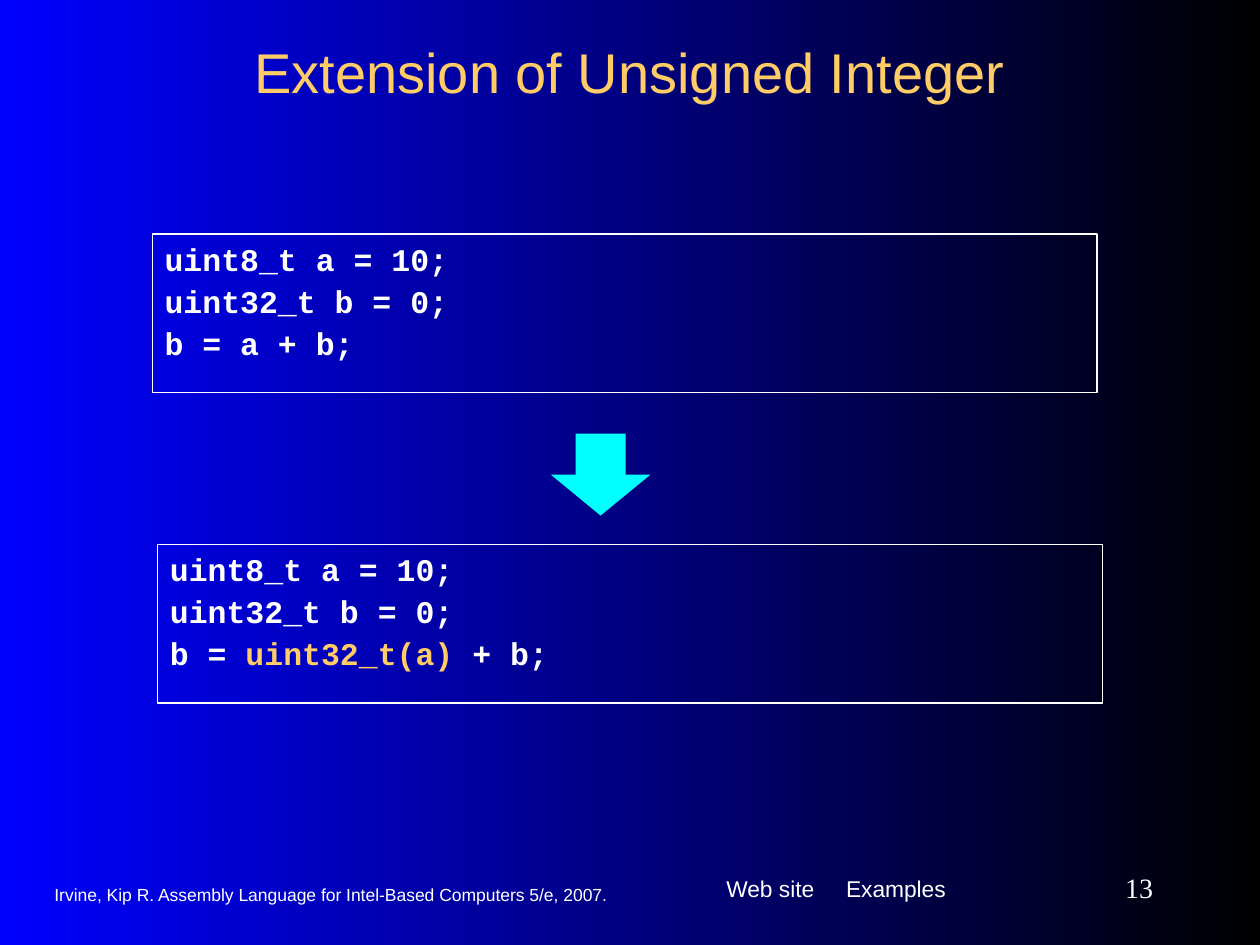
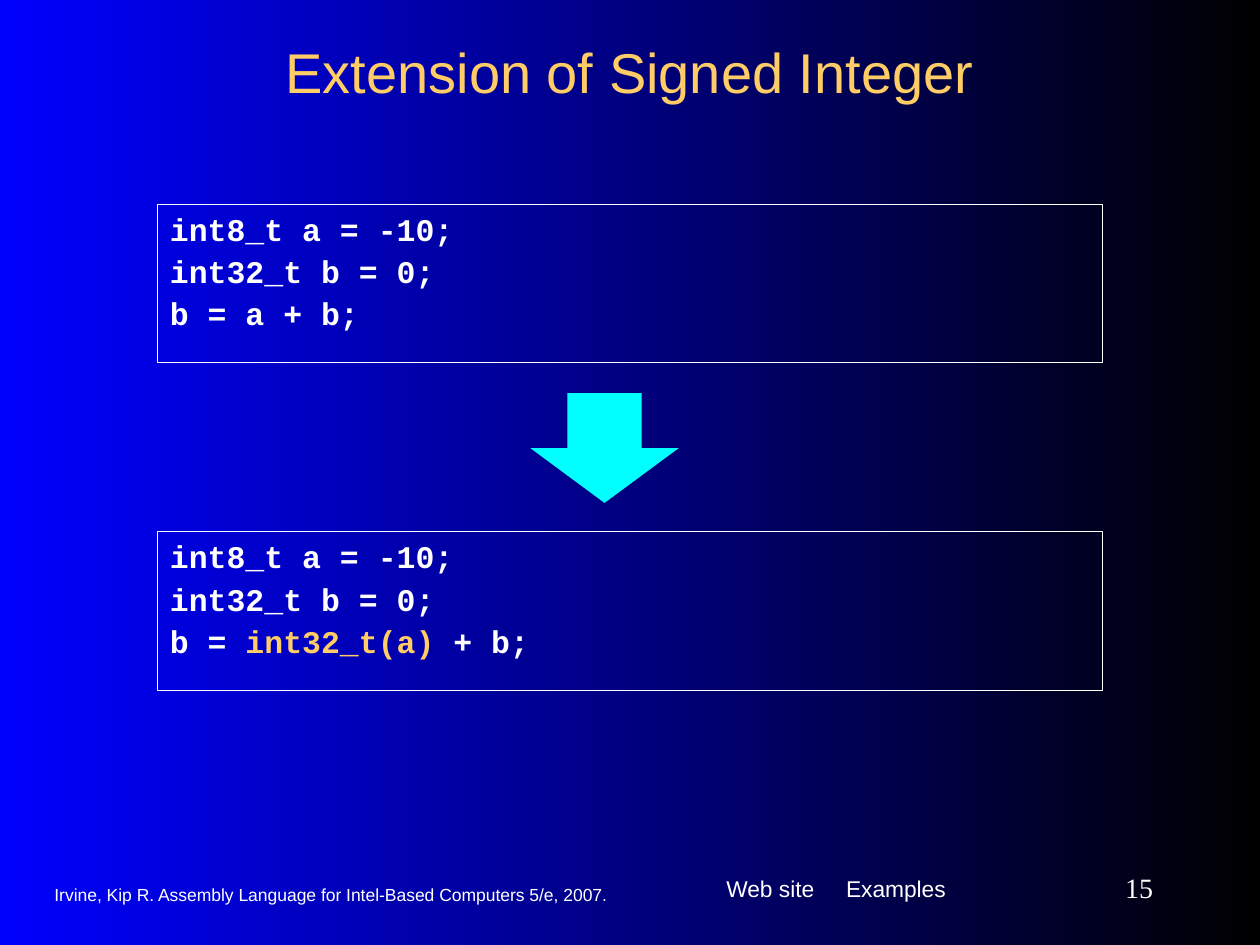
from dataclasses import dataclass

from lxml import etree
from pptx import Presentation
from pptx import util as u
from pptx.dml.color import RGBColor
from pptx.enum import shapes, text
from pptx.oxml import ns


@dataclass(frozen=True)
class Theme:
    """Colours, fonts and type sizes of the deck."""
    background_start: str = "0000FF"
    background_end: str = "000000"
    ink: str = "FFFFFF"
    accent: str = "FFCC66"
    arrow: str = "00FFFF"
    sans: str = "Arial"
    mono: str = "Courier New"
    serif: str = "Times New Roman"
    title_size: int = 32
    code_size: int = 18
    number_size: int = 16
    links_size: int = 13
    citation_size: int = 10


THEME = Theme()
WIDTH, HEIGHT = u.Inches(10), u.Inches(7.5)
COLUMN, ROW = WIDTH / 24, HEIGHT / 18

TITLE_BOX = (1.8, 0.55, 20.4, 1.6)
CITATION_BOX = (0.8, 16.63, 12.6, 0.8)
LINKS_BOX = (13.6, 16.4, 5.6, 1.25)
NUMBER_BOX = (19.6, 16.4, 2.6, 1)
CODE_WIDTH, CODE_HEIGHT = 18, 3.02
CITATION = "Irvine, Kip R. Assembly Language for Intel-Based Computers 5/e, 2007."


def place(box):
    """Turn columns and rows into slide lengths."""
    left, top, width, height = box
    return [u.Emu(round(n)) for n in (left * COLUMN, top * ROW, width * COLUMN, height * ROW)]


def set_frame(frame, anchor, top=0.05, bottom=0.05):
    """Set wrapping, anchor and vertical insets of a text frame."""
    frame.word_wrap = True
    frame.vertical_anchor = anchor
    frame.margin_left = frame.margin_right = u.Inches(0.1)
    frame.margin_top, frame.margin_bottom = u.Inches(top), u.Inches(bottom)


def add_run(paragraph, words, size, face, color=THEME.ink, bold=False):
    """Append one styled run."""
    run = paragraph.add_run()
    run.text = words
    run.font.size, run.font.name, run.font.bold = u.Pt(size), face, bold
    run.font.color.rgb = RGBColor.from_string(color)


def add_label(slide, box, words, size, face, align=text.PP_ALIGN.LEFT, color=THEME.ink):
    """Add a single line of text centred on its box's height."""
    frame = slide.shapes.add_textbox(*place(box)).text_frame
    set_frame(frame, text.MSO_ANCHOR.MIDDLE)
    line = frame.paragraphs[0]
    line.alignment = align
    add_run(line, words, size, face, color)


def add_links(slide, box):
    """Add the footer links, set apart by a tab stop."""
    frame = slide.shapes.add_textbox(*place(box)).text_frame
    set_frame(frame, text.MSO_ANCHOR.TOP, 0.15, 0.15)
    links = frame.paragraphs[0]
    stops = etree.SubElement(links._p.get_or_add_pPr(), ns.qn("a:tabLst"))
    etree.SubElement(stops, ns.qn("a:tab"), pos=str(u.Inches(0.95)), algn="l")
    add_run(links, "Web site\tExamples", THEME.links_size, THEME.sans)


def add_code(slide, left, top, listing):
    """Add an outlined listing whose lines are lists of (words, colour) pieces."""
    panel = slide.shapes.add_shape(
        shapes.MSO_SHAPE.RECTANGLE, *place((left, top, CODE_WIDTH, CODE_HEIGHT)))
    panel.shadow.inherit = False
    panel.fill.background()
    panel.line.color.rgb = RGBColor.from_string(THEME.ink)
    panel.line.width = u.Pt(0.75)
    frame = panel.text_frame
    set_frame(frame, text.MSO_ANCHOR.TOP, 0.15, 0.25)
    for index, pieces in enumerate(listing):
        line = frame.add_paragraph() if index else frame.paragraphs[0]
        line.alignment = text.PP_ALIGN.LEFT
        line.line_spacing = 0.6
        if index:
            line.space_before = u.Pt(11.2)
        for words, color in pieces:
            add_run(line, words, THEME.code_size, THEME.mono, color, True)


def add_arrow(slide, box):
    """Add the arrow from the implicit to the explicit conversion."""
    arrow = slide.shapes.add_shape(shapes.MSO_SHAPE.DOWN_ARROW, *place(box))
    arrow.shadow.inherit = False
    arrow.fill.solid()
    arrow.fill.fore_color.rgb = RGBColor.from_string(THEME.arrow)
    arrow.line.fill.background()


def add_base(deck, title, number):
    """Add a slide with the shared background, title and footer."""
    slide = deck.slides.add_slide(deck.slide_layouts[6])
    fill = slide.background.fill
    fill.gradient()
    fill.gradient_angle = 0
    ends = (THEME.background_start, THEME.background_end)
    for position, (stop, color) in enumerate(zip(fill.gradient_stops, ends)):
        stop.position = position
        stop.color.rgb = RGBColor.from_string(color)
    add_links(slide, LINKS_BOX)
    add_label(slide, TITLE_BOX, title, THEME.title_size, THEME.sans,
              text.PP_ALIGN.CENTER, THEME.accent)
    add_label(slide, CITATION_BOX, CITATION, THEME.citation_size, THEME.sans)
    add_label(slide, NUMBER_BOX, str(number), THEME.number_size, THEME.serif,
              text.PP_ALIGN.RIGHT)
    return slide


def add_extension(deck, kind, number, prefix, value, before_at, after_at, arrow_box):
    """Add a slide that turns an implicit widening into an explicit one."""
    slide = add_base(deck, f"Extension of {kind} Integer", number)
    declarations = [[(f"{prefix}8_t a = {value};", THEME.ink)],
                    [(f"{prefix}32_t b = 0;", THEME.ink)]]
    implicit = [("b = a + b;", THEME.ink)]
    explicit = [("b = ", THEME.ink), (f"{prefix}32_t(a)", THEME.accent), (" + b;", THEME.ink)]
    add_code(slide, *before_at, declarations + [implicit])
    add_code(slide, *after_at, declarations + [explicit])
    add_arrow(slide, arrow_box)


def main():
    """Build and save the deck."""
    deck = Presentation()
    deck.slide_width, deck.slide_height = WIDTH, HEIGHT
    add_extension(deck, "Unsigned", 13, "uint", 10,
                  (2.9, 4.46), (3, 10.37), (10.49, 8.26, 1.9, 1.56))
    add_extension(deck, "Signed", 15, "int", -10,
                  (3, 3.89), (3, 10.13), (10.1, 7.49, 2.83, 2.09))
    deck.save("out.pptx")


if __name__ == "__main__":
    main()
